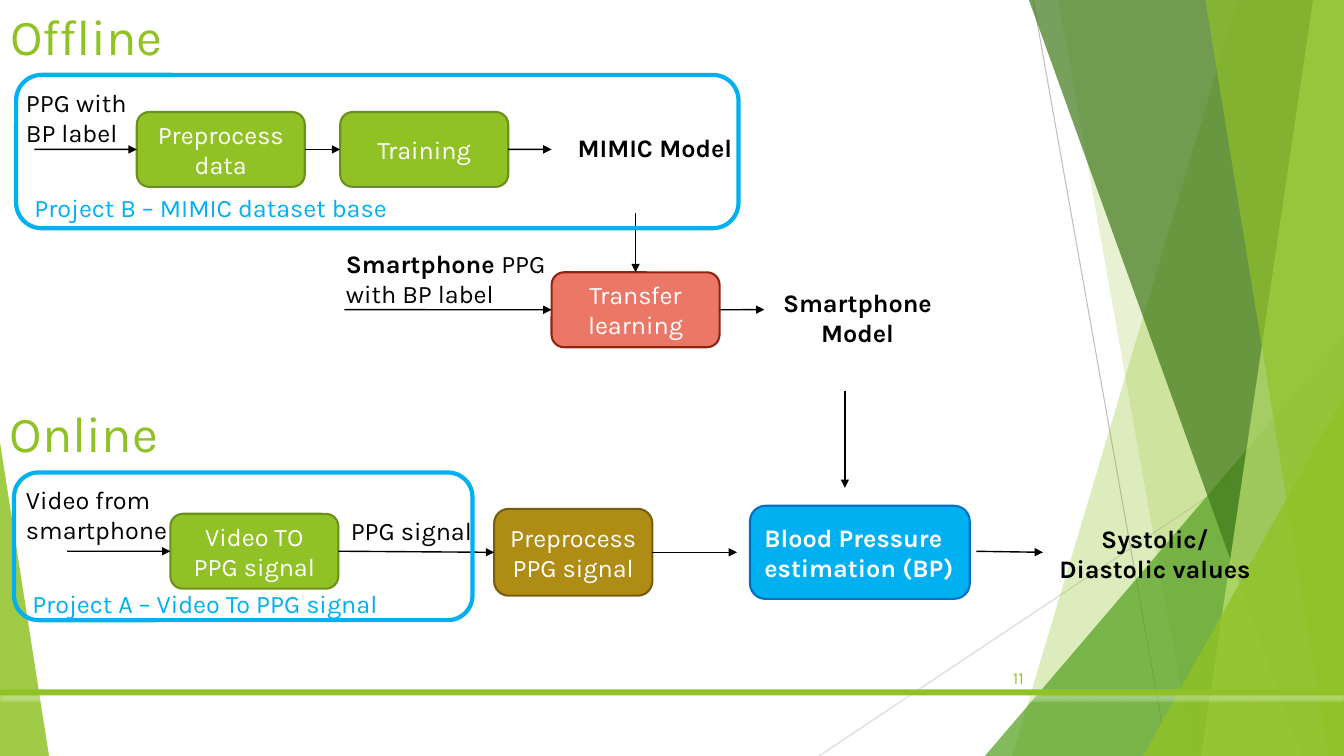
"""Build the slide that shows the offline and online blood pressure pipelines."""
import lxml.etree
import pptx
import pptx.dml.color
import pptx.enum.shapes
import pptx.enum.text
import pptx.oxml.ns
import pptx.util

Pt = pptx.util.Pt
RGBColor = pptx.dml.color.RGBColor
Preset = pptx.enum.shapes.MSO_SHAPE
Align = pptx.enum.text.PP_ALIGN
Anchor = pptx.enum.text.MSO_ANCHOR
AutoSize = pptx.enum.text.MSO_AUTO_SIZE
qn = pptx.oxml.ns.qn

BLACK = RGBColor(0x00, 0x00, 0x00)
WHITE = RGBColor(0xFF, 0xFF, 0xFF)
GREEN = RGBColor(0x90, 0xC2, 0x26)
GREEN_EDGE = RGBColor(0x6B, 0x90, 0x1C)
MID_GREEN = RGBColor(0x54, 0xA0, 0x21)
DARK_GREEN = RGBColor(0x3F, 0x78, 0x19)
PALE_GREEN = RGBColor(0xC0, 0xE4, 0x74)
CORAL = RGBColor(0xEB, 0x77, 0x66)
CORAL_EDGE = RGBColor(0x93, 0x23, 0x13)
OCHRE = RGBColor(0xAF, 0x8C, 0x14)
OCHRE_EDGE = RGBColor(0x75, 0x5E, 0x0D)
BLUE = RGBColor(0x00, 0xB0, 0xF0)
BLUE_EDGE = RGBColor(0x00, 0x70, 0xC0)
GREY = RGBColor(0xBF, 0xBF, 0xBF)
LIGHT_GREY = RGBColor(0xD9, 0xD9, 0xD9)

WIDTH, HEIGHT = 960, 540
STEP_SIZE = (120, 53.5)
TOP, LEFT, RIGHT = 0, 1, 3


class PipelineSlide:
    """Hold the text style and the slide, and draw each kind of element."""

    font = "Karla"
    body_size = 18
    heading_size = 36

    def __init__(self, deck):
        self.slide = deck.slides.add_slide(deck.slide_layouts[5])
        self.shapes = self.slide.shapes

    def add_runs(self, frame, runs, color, size=body_size, align=Align.LEFT, anchor=Anchor.TOP):
        frame.word_wrap = True
        frame.vertical_anchor = anchor
        paragraph = frame.paragraphs[0]
        paragraph.alignment = align
        for words, bold in runs:
            run = paragraph.add_run()
            run.text = words
            run.font.name = self.font
            run.font.size = Pt(size)
            run.font.bold = bold
            run.font.color.rgb = color

    def title(self, words, left, top, width, height):
        heading = self.shapes.title
        heading.left, heading.top = Pt(left), Pt(top)
        heading.width, heading.height = Pt(width), Pt(height)
        heading.text_frame.auto_size = AutoSize.NONE
        self.add_runs(heading.text_frame, [(words, False)], GREEN, self.heading_size)

    def label(self, runs, left, top, width, height, color=BLACK, grow=True, **style):
        text = self.shapes.add_textbox(Pt(left), Pt(top), Pt(width), Pt(height))
        self.add_runs(text.text_frame, runs, color, **style)
        text.text_frame.auto_size = AutoSize.SHAPE_TO_FIT_TEXT if grow else AutoSize.NONE

    def preset(self, kind, left, top, width, height):
        shape = self.shapes.add_shape(kind, Pt(left), Pt(top), Pt(width), Pt(height))
        shape.shadow.inherit = False
        return shape

    def tint(self, shape, color, opacity):
        shape.fill.solid()
        shape.fill.fore_color.rgb = color
        shape.line.fill.background()
        tone = shape.element.spPr.find(qn("a:solidFill") + "/" + qn("a:srgbClr"))
        lxml.etree.SubElement(tone, qn("a:alpha"), val=str(opacity * 1000))

    def shard(self, top_left, top_right, bottom_left, color, opacity):
        outline = self.shapes.build_freeform(Pt(top_left), 0, scale=1.0)
        corners = [(top_right, 0), (WIDTH, HEIGHT), (bottom_left, HEIGHT)]
        outline.add_line_segments([(Pt(x), Pt(y)) for x, y in corners])
        shape = outline.convert_to_shape()
        shape.shadow.inherit = False
        self.tint(shape, color, opacity)

    def wedge(self, left, top, width, apex, color, opacity):
        shape = self.preset(Preset.ISOSCELES_TRIANGLE, left, top, width, HEIGHT - top)
        shape.adjustments[0] = apex
        self.tint(shape, color, opacity)

    def rule(self, top, height):
        bar = self.preset(Preset.RECTANGLE, 0, top, WIDTH, height)
        self.tint(bar, GREEN, 100)
        effects = bar.element.spPr.find(qn("a:effectLst"))
        shadow = lxml.etree.SubElement(
            effects, qn("a:outerShdw"), blurRad=str(Pt(2)), dist=str(Pt(2)), dir="5400000")
        tone = lxml.etree.SubElement(shadow, qn("a:srgbClr"), val=str(WHITE))
        lxml.etree.SubElement(tone, qn("a:alpha"), val="40000")

    def step(self, words, left, top, fill, edge, size=STEP_SIZE, bold=False, align=Align.CENTER):
        box = self.preset(Preset.ROUNDED_RECTANGLE, left, top, *size)
        box.fill.solid()
        box.fill.fore_color.rgb = fill
        box.line.color.rgb = edge
        box.line.width = Pt(1.5)
        self.add_runs(box.text_frame, [(words, bold)], WHITE, align=align, anchor=Anchor.MIDDLE)
        return box

    def frame(self, left, top, width, height):
        border = self.preset(Preset.ROUNDED_RECTANGLE, left, top, width, height)
        border.fill.background()
        border.line.color.rgb = BLUE
        border.line.width = Pt(3)

    def line(self, start, end, color, width):
        line = self.shapes.add_connector(
            pptx.enum.shapes.MSO_CONNECTOR.STRAIGHT, *map(Pt, start + end))
        line.line.color.rgb = color
        line.line.width = Pt(width)
        lxml.etree.SubElement(line.element.spPr, qn("a:effectLst"))
        return line

    def arrow(self, start, end, source=None, target=None, side=LEFT):
        arrow = self.line(start, end, BLACK, 1)
        stroke = arrow.element.spPr.find(qn("a:ln"))
        lxml.etree.SubElement(stroke, qn("a:tailEnd"), type="triangle")
        if source:
            arrow.begin_connect(source, RIGHT)
        if target:
            arrow.end_connect(target, side)


def draw_backdrop(page):
    page.line((738, 0), (834, HEIGHT), GREY, 0.75)
    page.line((WIDTH, 290), (585, HEIGHT), LIGHT_GREY, 0.75)
    page.shard(884, WIDTH, 723, GREEN, 30)
    page.shard(756, WIDTH, 852, GREEN, 20)
    page.wedge(703.5, 240, 256.5, 1, MID_GREEN, 72)
    page.shard(735, WIDTH, 929.5, DARK_GREEN, 70)
    page.shard(938, WIDTH, 858, PALE_GREEN, 70)
    page.shard(861, WIDTH, 949, GREEN, 65)
    page.wedge(816.5, 283, 143.5, 1, GREEN, 80)
    page.wedge(0, 316, 35, 0, GREEN, 85)
    page.rule(492.5, 4.3)


def draw_offline(page):
    page.title("Offline", 0, 0, 677, 104)
    preprocess = page.step("Preprocess data", 97.7, 80, GREEN, GREEN_EDGE)
    training = page.step("Training", 243, 80, GREEN, GREEN_EDGE)
    transfer = page.step("Transfer learning", 394, 194.5, CORAL, CORAL_EDGE)
    page.label([("PPG with BP label", False)], 11.5, 59, 100, 51)
    page.label([("MIMIC Model", True)], 405.5, 91, 147, 29)
    page.label([("Smartphone ", True), ("PPG with BP label", False)], 240, 173.5, 168, 73)
    page.label([("Smartphone Model", True)], 548, 201.5, 129, 51, align=Align.CENTER)
    page.arrow((24.5, 106.7), (97.7, 106.7), target=preprocess)
    page.arrow((217.7, 106.7), (243, 106.7), preprocess, training)
    page.arrow((363, 106.7), (394, 106.7), training)
    page.arrow((454, 152), (454, 194.5), target=transfer, side=TOP)
    page.arrow((246, 221.2), (394, 221.2), target=transfer)
    page.arrow((514, 221.2), (546, 221.2), transfer)
    page.frame(11.5, 53.5, 516, 109.5)
    page.label([("Project B – MIMIC dataset base", False)], 17.5, 133.5, 272, 29, BLUE)


def draw_online(page):
    page.label([("Online", False)], 0, 283.5, 677, 104, GREEN,
               grow=False, size=page.heading_size)
    video = page.step("Video TO PPG signal", 121.7, 367, GREEN, GREEN_EDGE)
    signal = page.step("Preprocess PPG signal", 353, 363.5, OCHRE, OCHRE_EDGE, (113, 62))
    page.step("Blood Pressure estimation (BP)", 535.7, 361.3, BLUE, BLUE_EDGE,
              (157, 66.5), True, Align.LEFT)
    page.label([("Video from smartphone", False)], 11.5, 342.5, 130, 51)
    page.label([("PPG signal", False)], 243.5, 364.5, 130, 29)
    page.label([("Systolic/Diastolic values", True)], 742, 370, 166, 51, align=Align.CENTER)
    page.arrow((48, 393.8), (121.7, 393.8), target=video)
    page.arrow((241.7, 393.8), (353, 394.5), video, signal)
    page.arrow((466, 394.5), (526.5, 394.5), signal)
    page.arrow((603.5, 279), (603.5, 348.5))
    page.arrow((697.5, 393.8), (745, 394.5))
    page.frame(10, 337.5, 327.5, 105.5)
    page.label([("Project A – Video To PPG signal", False)], 16, 417, 268, 29, BLUE)


def main():
    deck = pptx.Presentation()
    deck.slide_width, deck.slide_height = Pt(WIDTH), Pt(HEIGHT)
    page = PipelineSlide(deck)
    draw_backdrop(page)
    draw_offline(page)
    draw_online(page)
    page.label([("11", False)], 684.5, 469.5, 54, 29, GREEN, grow=False,
               size=12, align=Align.RIGHT, anchor=Anchor.MIDDLE)
    deck.save("out.pptx")


if __name__ == "__main__":
    main()
